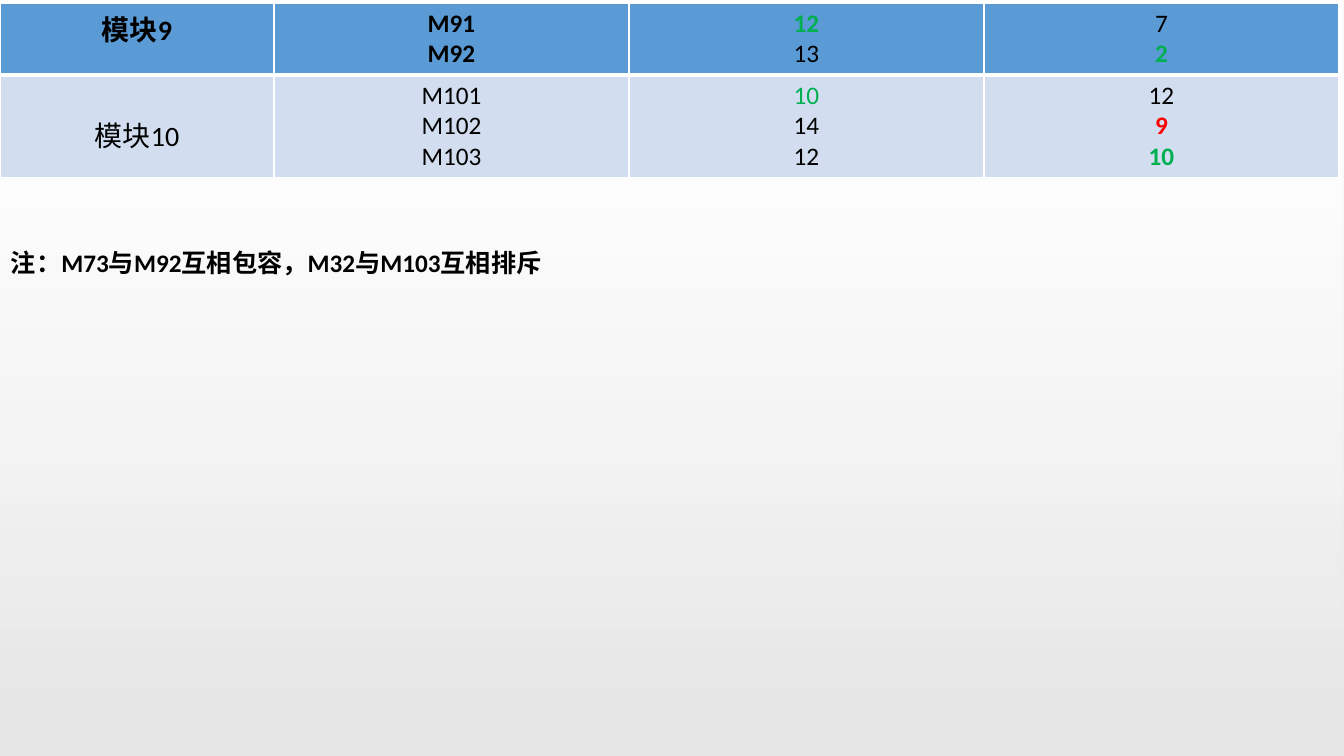
from lxml import etree
from pptx import Presentation
from pptx.dml.color import RGBColor
from pptx.enum.shapes import MSO_SHAPE
from pptx.enum.text import MSO_ANCHOR, MSO_AUTO_SIZE, PP_ALIGN
from pptx.oxml.ns import qn
from pptx.util import Emu, Pt

RECTANGLE = MSO_SHAPE.RECTANGLE
TOP = MSO_ANCHOR.TOP
GROW = MSO_AUTO_SIZE.SHAPE_TO_FIT_TEXT
CENTER, LEFT = PP_ALIGN.CENTER, PP_ALIGN.LEFT

SCALE = 914400 / 100.8
COLORS = {
    "black": "000000", "white": "FFFFFF", "green": "00B050", "red": "FF0000",
    "header": "5B9BD5", "band": "D2DEEF", "page_top": "F2F2F2", "page_end": "E7E6E6",
}
FONT = "Calibri"
PLAIN = {"size": 18, "bold": False, "color": "black"}
BOLD = {**PLAIN, "bold": True}
GREEN = {**PLAIN, "color": "green"}
GREEN_BOLD = {**BOLD, "color": "green"}
RED_BOLD = {**BOLD, "color": "red"}

COLUMN_WIDTHS = [274, 355, 355, 355]
MODULES = [
    {"height": 72, "fill": "header", "name_top": 5, "top_line": 1, "bottom_line": 3,
     "cells": [
         [("模块9", {**BOLD, "size": 20})],
         [("M91", BOLD), ("M92", BOLD)],
         [("12", GREEN_BOLD), ("13", PLAIN)],
         [("7", PLAIN), ("2", GREEN_BOLD)],
     ]},
    {"height": 102, "fill": "band", "name_top": 39, "top_line": 3, "bottom_line": 1,
     "cells": [
         [("模块10", {**PLAIN, "size": 20})],
         [("M101", PLAIN), ("M102", PLAIN), ("M103", PLAIN)],
         [("10", GREEN), ("14", PLAIN), ("12", PLAIN)],
         [("12", PLAIN), ("9", RED_BOLD), ("10", GREEN_BOLD)],
     ]},
]
NOTE = "注：M73与M92互相包容，M32与M103互相排斥"


def px(length):
    return Emu(round(length * SCALE))


def rgb(name):
    return RGBColor.from_string(COLORS[name])


def write_lines(frame, lines, alignment):
    for index, (text, style) in enumerate(lines):
        para = frame.add_paragraph() if index else frame.paragraphs[0]
        para.alignment = alignment
        span = para.add_run()
        span.text = text
        values = {"name": FONT, "size": Pt(style["size"]), "bold": style["bold"]}
        for key, value in values.items():
            setattr(span.font, key, value)
        span.font.color.rgb = rgb(style["color"])


def fill_down(fill, stops):
    fill.gradient()
    fill.gradient_angle = 270
    for stop, (position, color) in zip(fill.gradient_stops, stops):
        stop.position = position
        stop.color.rgb = rgb(color)


def draw_background(page, box):
    fill_down(page.background.fill, [(0, "page_top"), (1, "page_end")])
    veil = page.shapes.add_shape(RECTANGLE, *map(px, box))
    veil.shadow.inherit = False
    veil.line.fill.background()
    fill_down(veil.fill, [(0.19, "white"), (1, "white")])
    for color, alpha in zip(veil._element.spPr.iter(qn("a:srgbClr")), (91, 0)):
        etree.SubElement(color, qn("a:alpha"), val=str(alpha * 1000))


def draw_borders(cell, widths):
    properties = cell._tc.get_or_add_tcPr()
    for index, (side, width) in enumerate(widths.items()):
        line = etree.Element(qn(f"a:ln{side}"), w=str(Pt(width)))
        solid = etree.SubElement(line, qn("a:solidFill"))
        etree.SubElement(solid, qn("a:srgbClr"), val=COLORS["white"])
        properties.insert(index, line)


def draw_module_table(page, box):
    frame = page.shapes.add_table(len(MODULES), len(COLUMN_WIDTHS), *map(px, box))
    table = frame.table
    table.first_row = False
    table.horz_banding = False
    for column, width in zip(table.columns, COLUMN_WIDTHS):
        column.width = px(width)
    for row, module in zip(table.rows, MODULES):
        row.height = px(module["height"])
        for cell, lines in zip(row.cells, module["cells"]):
            cell.vertical_anchor = TOP
            cell.fill.solid()
            cell.fill.fore_color.rgb = rgb(module["fill"])
            draw_borders(cell, {"L": 1, "R": 1, "T": module["top_line"],
                                "B": module["bottom_line"]})
            write_lines(cell.text_frame, lines, CENTER)
        row.cells[0].margin_top = px(module["name_top"])


def draw_note(page, box):
    frame = page.shapes.add_textbox(*map(px, box)).text_frame
    frame.word_wrap = True
    frame.auto_size = GROW
    write_lines(frame, [(NOTE, BOLD)], LEFT)


def main():
    deck = Presentation()
    deck.slide_width, deck.slide_height = px(1344), px(756)
    page = deck.slides.add_slide(deck.slide_layouts[6])
    draw_background(page, (0, 0, 1344, 716))
    draw_module_table(page, (0, 3, sum(COLUMN_WIDTHS), sum(m["height"] for m in MODULES)))
    draw_note(page, (1, 242, 799, 40))
    deck.save("out.pptx")


if __name__ == "__main__":
    main()
